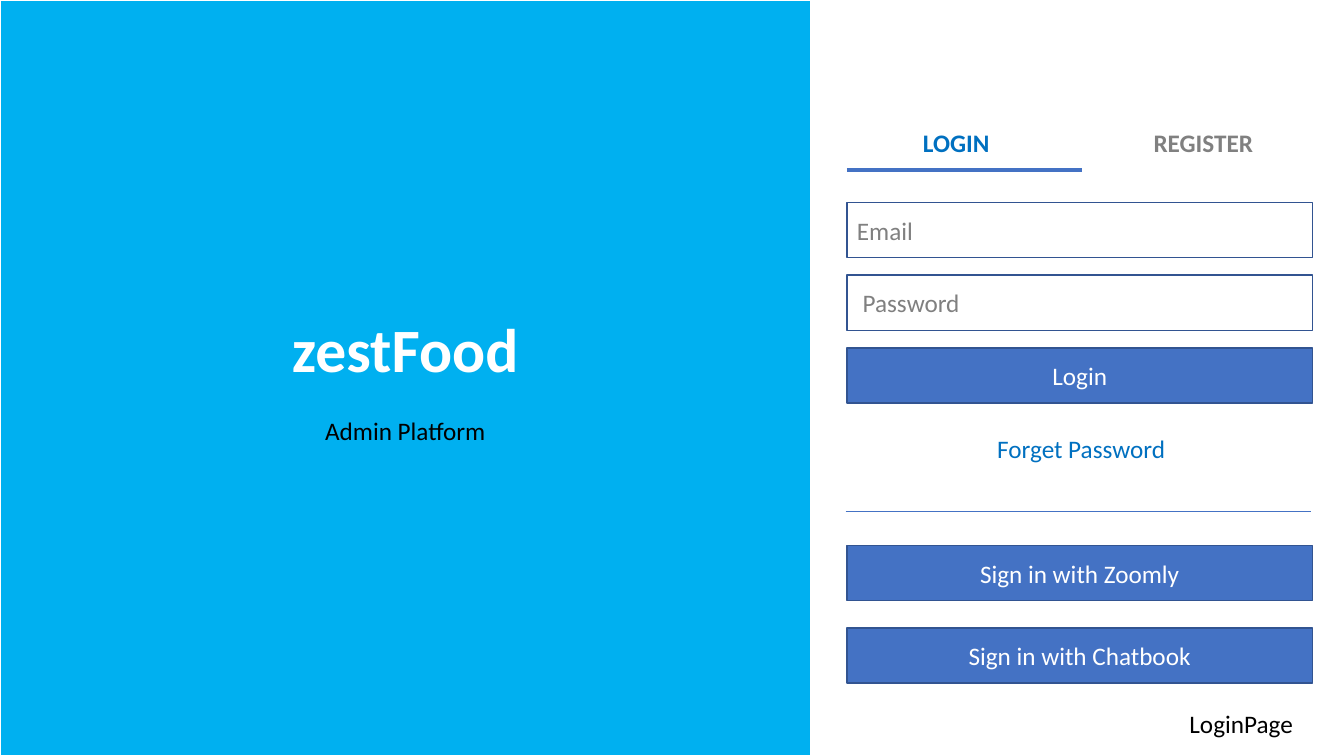
"""Build the login page slide of an admin platform."""
from lxml import etree
from pptx import Presentation
from pptx.dml.color import RGBColor
from pptx.enum.shapes import MSO_CONNECTOR, MSO_SHAPE
from pptx.enum.text import MSO_ANCHOR, MSO_AUTO_SIZE, PP_ALIGN
from pptx.oxml.ns import qn
from pptx.util import Pt

LEFT, MID = PP_ALIGN.LEFT, PP_ALIGN.CENTER
CENTER = MSO_ANCHOR.MIDDLE
FIXED = MSO_AUTO_SIZE.NONE
RECT, LINE = MSO_SHAPE.RECTANGLE, MSO_CONNECTOR.STRAIGHT

WHITE, BLACK, GRAY = "FFFFFF", "000000", "808080"
SKY, BLUE, EDGE, LINK = "00B0F0", "4472C4", "325491", "0070C0"

BRAND, ROLE = "zestFood", "Admin Platform"
TABS = [("LOGIN", LINK), ("REGISTER", GRAY)]
FIELDS = [("Email", 7.2), ("Password", 11.2)]
LOGIN, FORGOT = "Login", "Forget Password"
SIGNS = ["Sign in with Zoomly", "Sign in with Chatbook"]
PAGE = "LoginPage"

X, WIDE, HIGH = 605, 332.5, 39.5
TAB_Y, TAB_W, TAB_STEP = 82, 156, 176.5
FORM_Y, FORM_STEP = 144.5, 52
SIGN_Y, SIGN_STEP = 389.5, 59


def color(code):
    """Turn a hex string into a colour."""
    return RGBColor.from_string(code)


def write(para, text, size=18, ink=BLACK, bold=False, align=MID):
    """Put formatted text into a paragraph."""
    para.alignment = align
    run = para.add_run()
    run.text = text
    font = run.font
    font.name, font.size, font.bold = "Calibri", Pt(size), bold
    font.color.rgb = color(ink)


def paint(shape, fill, edge):
    """Fill and outline a shape."""
    shape.fill.solid()
    shape.fill.fore_color.rgb = color(fill)
    shape.line.color.rgb = color(edge)
    shape.line.width = Pt(1)


def label(text, x, y, wide, high=HIGH, **form):
    """Add a plain line of text."""
    frame = slide.shapes.add_textbox(Pt(x), Pt(y), Pt(wide), Pt(high)).text_frame
    frame.word_wrap = True
    frame.vertical_anchor = CENTER
    write(frame.paragraphs[0], text, **form)


def box(text, y, fill=BLUE, inset=7.2, **form):
    """Add a form field or a button."""
    shape = slide.shapes.add_shape(RECT, Pt(X), Pt(y), Pt(WIDE), Pt(HIGH))
    shape.shadow.inherit = False
    paint(shape, fill, EDGE)
    frame = shape.text_frame
    frame.margin_left = Pt(inset)
    frame.vertical_anchor = CENTER
    write(frame.paragraphs[0], text, **form)


def rule(x, y, wide, weight):
    """Add a level line."""
    line = slide.shapes.add_connector(LINE, Pt(x), Pt(y), Pt(x + wide), Pt(y))
    line.line.color.rgb = color(BLUE)
    line.line.width = Pt(weight)
    etree.SubElement(line._element.spPr, qn("a:effectLst"))


deck = Presentation()
deck.slide_width, deck.slide_height = Pt(960), Pt(540)
slide = deck.slides.add_slide(deck.slide_layouts[5])

panel = slide.shapes.title
panel.left, panel.top, panel.width, panel.height = Pt(0), Pt(0), Pt(579), Pt(540)
paint(panel, SKY, WHITE)
frame = panel.text_frame
frame.auto_size, frame.vertical_anchor = FIXED, CENTER
write(frame.paragraphs[0], BRAND, size=44, ink=WHITE, bold=True)
role = frame.add_paragraph()
role.space_before = Pt(22)
write(role, ROLE)

for i, (text, ink) in enumerate(TABS):
    label(text, X + i * TAB_STEP, TAB_Y, TAB_W, ink=ink, bold=True)
rule(X, TAB_Y + HIGH, 168, 3)

for i, (text, inset) in enumerate(FIELDS):
    box(text, FORM_Y + i * FORM_STEP, fill=WHITE, inset=inset, ink=GRAY, align=LEFT)
box(LOGIN, FORM_Y + 2 * FORM_STEP, ink=WHITE)
label(FORGOT, X + 2, FORM_Y + 3 * FORM_STEP, WIDE - 2, ink=LINK)
rule(X - 1, 365, WIDE, 0.5)

for i, text in enumerate(SIGNS):
    box(text, SIGN_Y + i * SIGN_STEP, ink=WHITE)
label(PAGE, 842.5, 502.5, 109, 29, align=LEFT)

deck.save("out.pptx")
